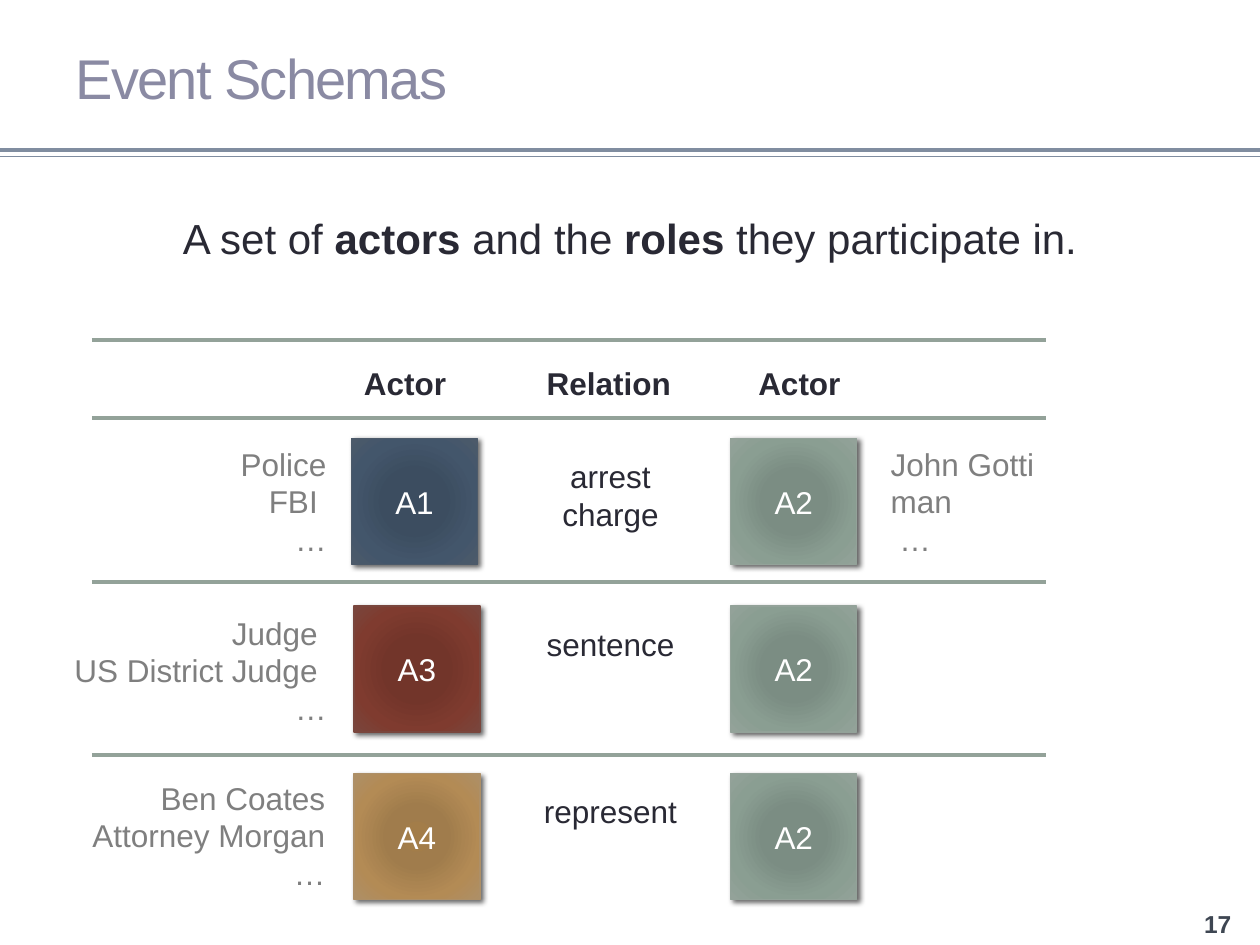
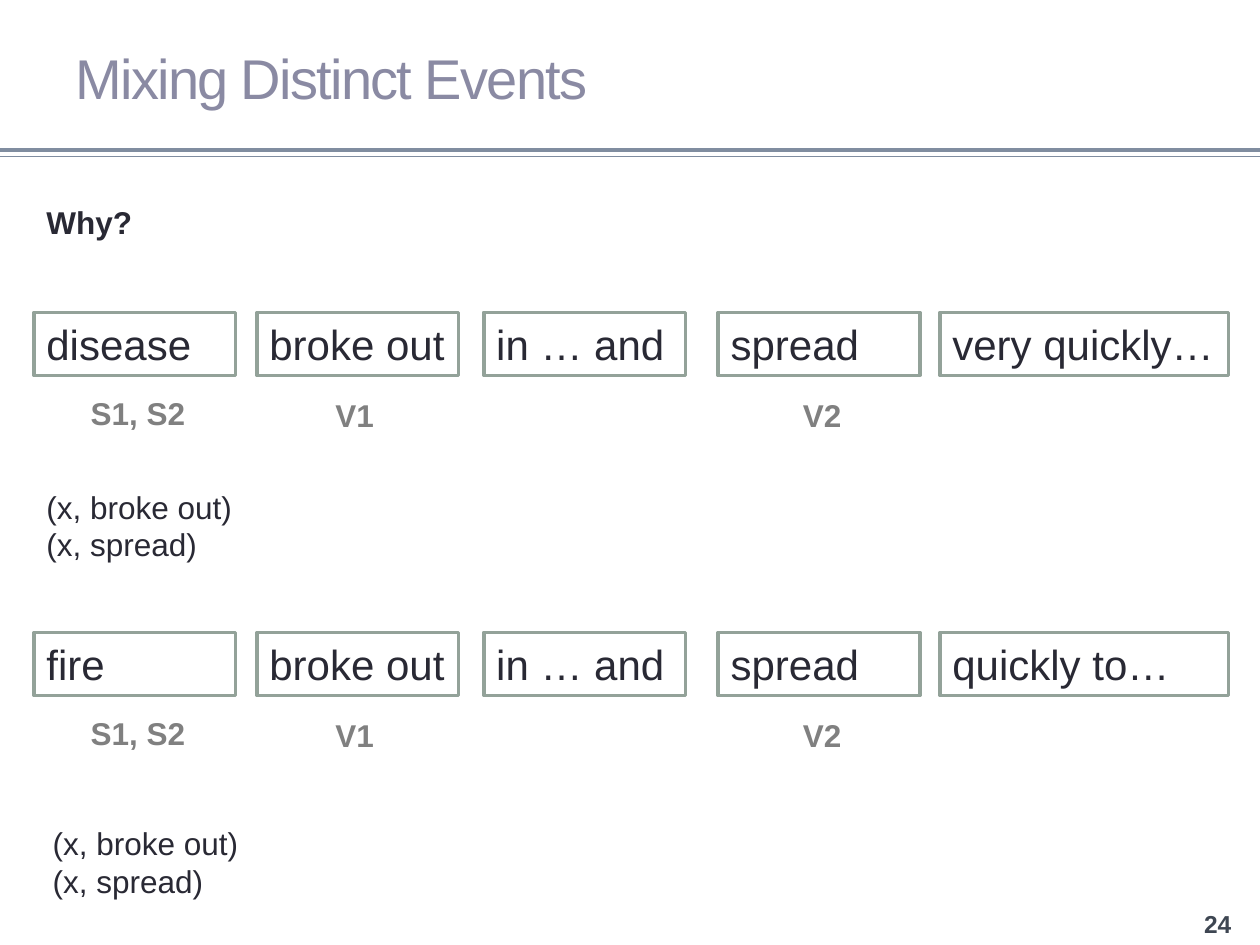
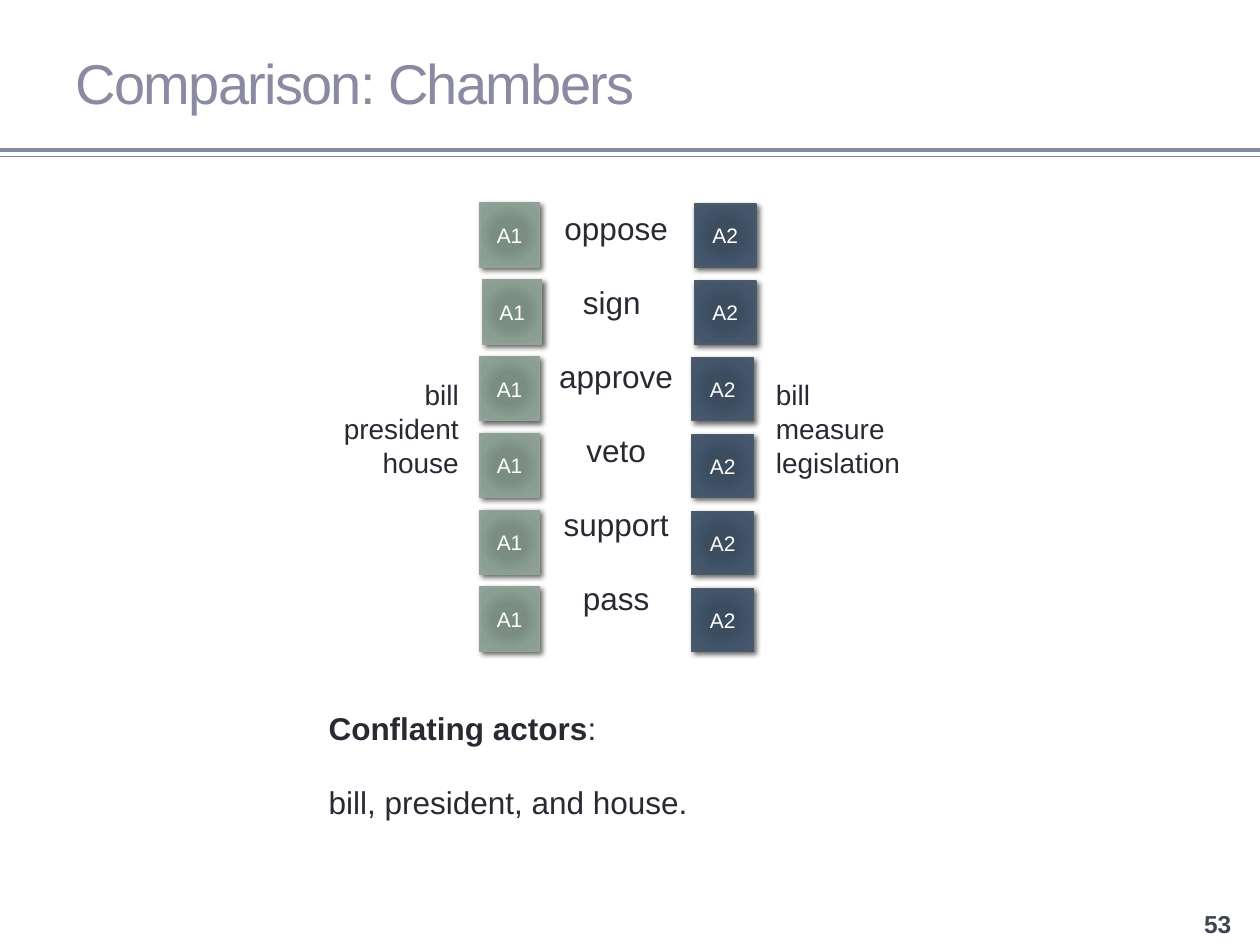
import dataclasses

import pptx
import pptx.dml.color
import pptx.enum.shapes
import pptx.enum.text
import pptx.oxml
import pptx.oxml.ns
import pptx.oxml.xmlchemy
import pptx.util

Inches = pptx.util.Inches
Pt = pptx.util.Pt
Align = pptx.enum.text.PP_ALIGN
Anchor = pptx.enum.text.MSO_ANCHOR
qn = pptx.oxml.ns.qn


@dataclasses.dataclass(frozen=True)
class Theme:
    font: str = "Arial"
    title: str = "8A8AA3"
    text: str = "292934"
    gray: str = "7F7F7F"
    label: str = "808080"
    number: str = "3E4652"
    white: str = "FFFFFF"
    band: str = "808DA0"
    rule: str = "93A299"
    blue: tuple = ("3B4D61", "3C4D60", "43566B", "4C5A6A")
    green: tuple = ("7B8E82", "7B8D83", "8A9E92", "93A299")
    red: tuple = ("743327", "72352A", "7F3B2F", "79463D")
    gold: tuple = ("A37D49", "A07C4C", "B38B55", "AD8F67")
    gradient_stops: tuple = (0, 34, 70, 100)
    title_size: int = 32
    large: int = 24
    body: int = 18
    list_size: int = 16
    number_size: int = 14
    small: int = 12
    blank_line: float = 20.7
    thick: float = 2.08
    thin: float = 0.75


THEME = Theme()


@dataclasses.dataclass(frozen=True)
class TextStyle:
    size: float = THEME.body
    color: str = THEME.text
    bold: bool = False
    align: Align = Align.LEFT
    gap: float = 0
    anchor: Anchor = Anchor.TOP
    wrap: bool = True
    spacing: int = 0


BODY = TextStyle()
CENTERED = TextStyle(align=Align.CENTER)
HEADING = TextStyle(bold=True, wrap=False)
STRONG = TextStyle(bold=True)
LARGE = TextStyle(size=THEME.large)
LEAD = TextStyle(size=THEME.large, align=Align.CENTER)
SPACED = TextStyle(gap=THEME.blank_line)
VERBS = TextStyle(align=Align.CENTER, gap=THEME.blank_line)
EXAMPLES_LEFT = TextStyle(color=THEME.gray, align=Align.RIGHT)
EXAMPLES_RIGHT = TextStyle(color=THEME.gray)
FILLERS_LEFT = TextStyle(size=THEME.list_size, align=Align.RIGHT)
FILLERS_RIGHT = TextStyle(size=THEME.list_size)
LABEL = TextStyle(color=THEME.label, bold=True, align=Align.CENTER)
TILE = TextStyle(color=THEME.white, align=Align.CENTER, anchor=Anchor.MIDDLE)
SMALL_TILE = dataclasses.replace(TILE, size=THEME.small)
NUMBER = TextStyle(THEME.number_size, THEME.number, True, Align.CENTER, anchor=Anchor.MIDDLE)
TITLE = TextStyle(THEME.title_size, THEME.title, anchor=Anchor.MIDDLE, spacing=-100)


def rgb(value):
    return pptx.dml.color.RGBColor.from_string(value)


def box(*lengths):
    return [Inches(length) for length in lengths]


def write(shape, paragraphs, style):
    frame = shape.text_frame
    frame.auto_size = pptx.enum.text.MSO_AUTO_SIZE.NONE
    frame.word_wrap = style.wrap
    frame.vertical_anchor = style.anchor
    for index, content in enumerate(paragraphs):
        paragraph = frame.add_paragraph() if index else frame.paragraphs[0]
        paragraph.alignment = style.align
        paragraph.space_before = Pt(style.gap if index else 0)
        runs = [(content, style.bold)] if isinstance(content, str) else content
        for text, bold in runs:
            run = paragraph.add_run()
            run.text = text
            run.font.name = THEME.font
            run.font.size = Pt(style.size)
            run.font.bold = bold
            run.font.color.rgb = rgb(style.color)
            if style.spacing:
                run.font._element.set("spc", str(style.spacing))


def add_text(slide, bounds, paragraphs, style=BODY):
    write(slide.shapes.add_textbox(*box(*bounds)), paragraphs, style)


def add_rule(slide, left, right, top, color=THEME.rule, width=THEME.thick):
    connector = slide.shapes.add_connector(
        pptx.enum.shapes.MSO_CONNECTOR.STRAIGHT, *box(left, top, right, top))
    connector.line.color.rgb = rgb(color)
    connector.line.width = Pt(width)
    connector._element.spPr.append(pptx.oxml.xmlchemy.OxmlElement("a:effectLst"))
    return connector


def add_rectangle(slide, bounds, outline, width):
    shape = slide.shapes.add_shape(pptx.enum.shapes.MSO_SHAPE.RECTANGLE, *box(*bounds))
    shape.shadow.inherit = False
    shape.fill.solid()
    shape.fill.fore_color.rgb = rgb(THEME.white)
    if outline:
        shape.line.color.rgb = rgb(outline)
        shape.line.width = Pt(width)
    else:
        shape.line.fill.background()
    return shape


def add_panel(slide, bounds, paragraphs, style, outline=None):
    write(add_rectangle(slide, bounds, outline, THEME.thick), paragraphs, style)


def add_tile(slide, bounds, label, colors, style=TILE):
    shape = add_rectangle(slide, bounds, colors[-1], THEME.thin)
    namespace = pptx.oxml.ns.nsdecls("a")
    stops = "".join(
        f'<a:gs pos="{position * 1000}"><a:srgbClr val="{color}"/></a:gs>'
        for position, color in zip(THEME.gradient_stops, colors))
    gradient = pptx.oxml.parse_xml(
        f'<a:gradFill {namespace} rotWithShape="1"><a:gsLst>{stops}</a:gsLst>'
        '<a:path path="circle"><a:fillToRect l="100000" t="100000" r="100000" b="100000"/>'
        '</a:path></a:gradFill>')
    shadow = pptx.oxml.parse_xml(
        f'<a:outerShdw {namespace} blurRad="38100" dist="25400" dir="2700000" rotWithShape="0">'
        '<a:srgbClr val="000000"><a:alpha val="60000"/></a:srgbClr></a:outerShdw>')
    properties = shape._element.spPr
    properties.replace(properties.find(qn("a:solidFill")), gradient)
    properties.find(qn("a:effectLst")).append(shadow)
    write(shape, [label], style)


def add_band(slide):
    for top, width in ((1.19, THEME.thick), (1.24, THEME.thin)):
        connector = add_rule(slide, 0, 10, top, THEME.band, width)
        slide.slide_layout.shapes.element.append(connector._element)


def start_slide(presentation, title, number, title_top=0.07):
    slide = presentation.slides.add_slide(presentation.slide_layouts[5])
    shape = slide.shapes.title
    shape.left, shape.top, shape.width, shape.height = box(0.5, title_top, 9, 1.08)
    write(shape, [title], TITLE)
    add_text(slide, (9.33, 7.15, 0.67, 0.36), [number], NUMBER)
    return slide


def build_schemas(presentation):
    slide = start_slide(presentation, "Event Schemas", "17")
    add_band(slide)
    add_text(slide, (0.5, 1.64, 9, 0.77), [[
        ("A set of ", False), ("actors", True), (" and the ", False),
        ("roles", True), (" they participate in.", False)]], LEAD)
    for top in (2.7, 3.32, 4.62, 5.99):
        add_rule(slide, 0.73, 8.3, top)
    for left, width, heading in ((2.79, 0.86, "Actor"), (4.24, 1.2, "Relation"),
                                 (5.92, 0.86, "Actor")):
        add_text(slide, (left, 2.84, width, 0.4), [heading], HEADING)
    rows = (
        ("A1", THEME.blue, 2.79, ["arrest", "charge"],
         (0.5, 3.48, 2.19, 1.01), ["Police", "FBI ", " …"]),
        ("A3", THEME.red, 2.81, ["sentence"],
         (0.48, 4.82, 2.21, 1.01), ["Judge ", "US District Judge ", "…"]),
        ("A4", THEME.gold, 2.81, ["represent"],
         (0.33, 6.13, 2.35, 1.01), ["Ben Coates Attorney Morgan", "…"]),
    )
    for index, (actor, colors, left, relations, bounds, examples) in enumerate(rows):
        top = 3.48 + 1.33 * index
        add_text(slide, bounds, examples, EXAMPLES_LEFT)
        add_tile(slide, (left, top, 1, 1), actor, colors)
        add_text(slide, (4.17, top + 0.1, 1.35, 0.4 * len(relations)), relations, CENTERED)
        add_tile(slide, (5.8, top, 1, 1), "A2", THEME.green)
    add_text(slide, (6.97, 3.48, 3.03, 1.01), ["John Gotti", "man", " …"], EXAMPLES_RIGHT)


def add_sentence(slide, top, subject, ending):
    words = ((0.27, 1.6, subject), (2.04, 1.6, "broke out"), (3.84, 1.6, "in … and"),
             (5.7, 1.6, "spread"), (7.46, 2.29, ending))
    for left, width, word in words:
        add_panel(slide, (left, top, width, 0.5), [word], LARGE, THEME.rule)
    for left, drop, label in ((0.32, 0.6, "S1, S2"), (2.04, 0.61, "V1"), (5.75, 0.61, "V2")):
        add_text(slide, (left, top + drop, 1.55, 0.4), [label], LABEL)


def build_mixing(presentation):
    slide = start_slide(presentation, "Mixing Distinct Events", "24")
    add_text(slide, (0.27, 1.56, 2.03, 0.4), ["Why?"], STRONG)
    add_sentence(slide, 2.48, "disease", "very quickly…")
    add_sentence(slide, 5.02, "fire", "quickly to…")
    for left, top in ((0.27, 3.82), (0.32, 6.49)):
        add_text(slide, (left, top, 2.7, 0.71), ["(x, broke out)", "(x, spread)"])


def build_comparison(presentation):
    slide = start_slide(presentation, "Comparison: Chambers", "53", title_top=0.11)
    rows = (("oppose", 3.81, 5.51), ("sign ", 3.83, 5.51), ("approve", 3.81, 5.49),
            ("veto", 3.81, 5.49), ("support", 3.81, 5.49), ("pass", 3.81, 5.49))
    add_text(slide, (4.17, 1.61, 1.44, 3.74), [verb for verb, _, _ in rows], VERBS)
    for index, (_, first_left, second_left) in enumerate(rows):
        top = 1.61 + 0.61 * index
        add_tile(slide, (first_left, top, 0.47, 0.51), "A1", THEME.green, SMALL_TILE)
        add_tile(slide, (second_left, top + 0.01, 0.49, 0.5), "A2", THEME.blue, SMALL_TILE)
    add_text(slide, (2.51, 2.95, 1.23, 0.91), ["bill", "president", "house"], FILLERS_LEFT)
    add_text(slide, (6.06, 2.95, 1.21, 0.91), ["bill", "measure", "legislation"], FILLERS_RIGHT)
    add_panel(slide, (2.51, 5.58, 4.76, 1.24), [
        [("Conflating actors", True), (":", False)], "bill, president, and house."], SPACED)


def main():
    presentation = pptx.Presentation()
    presentation.slide_width, presentation.slide_height = box(10, 7.5)
    build_schemas(presentation)
    build_mixing(presentation)
    build_comparison(presentation)
    presentation.save("out.pptx")


if __name__ == "__main__":
    main()
